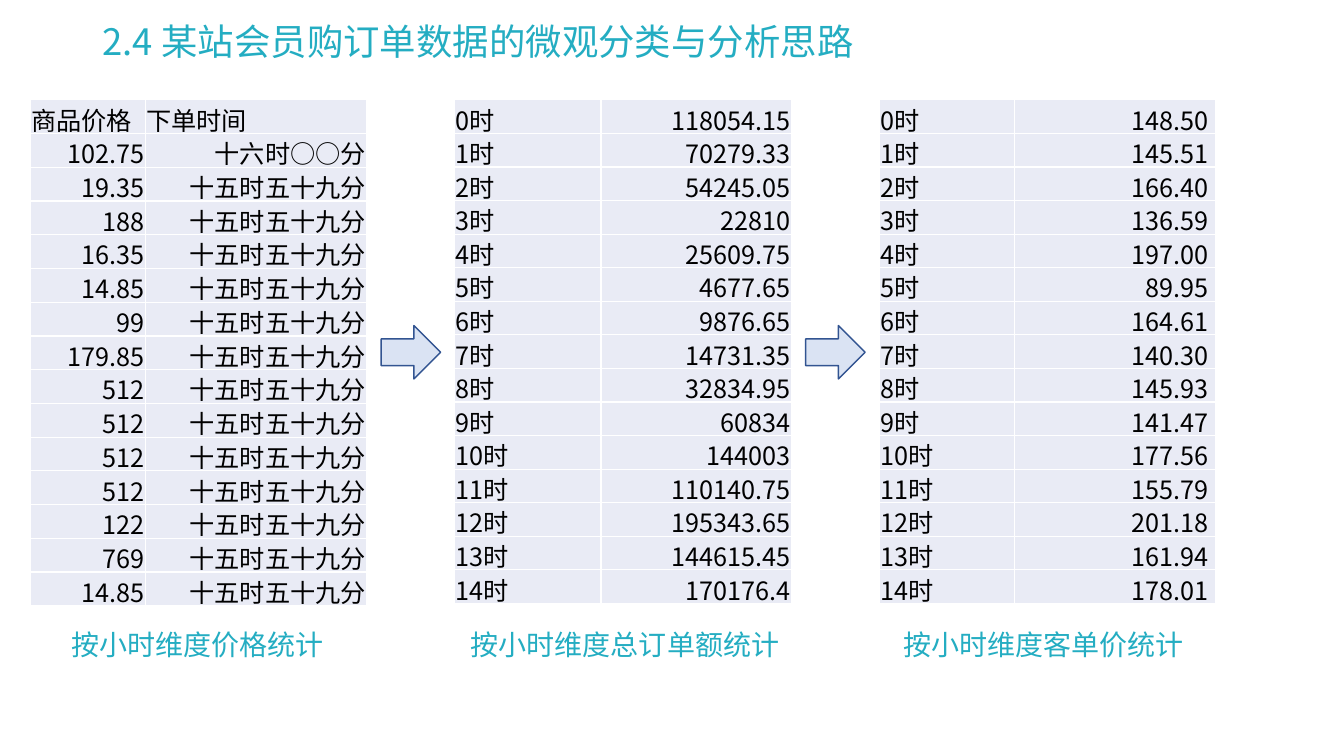
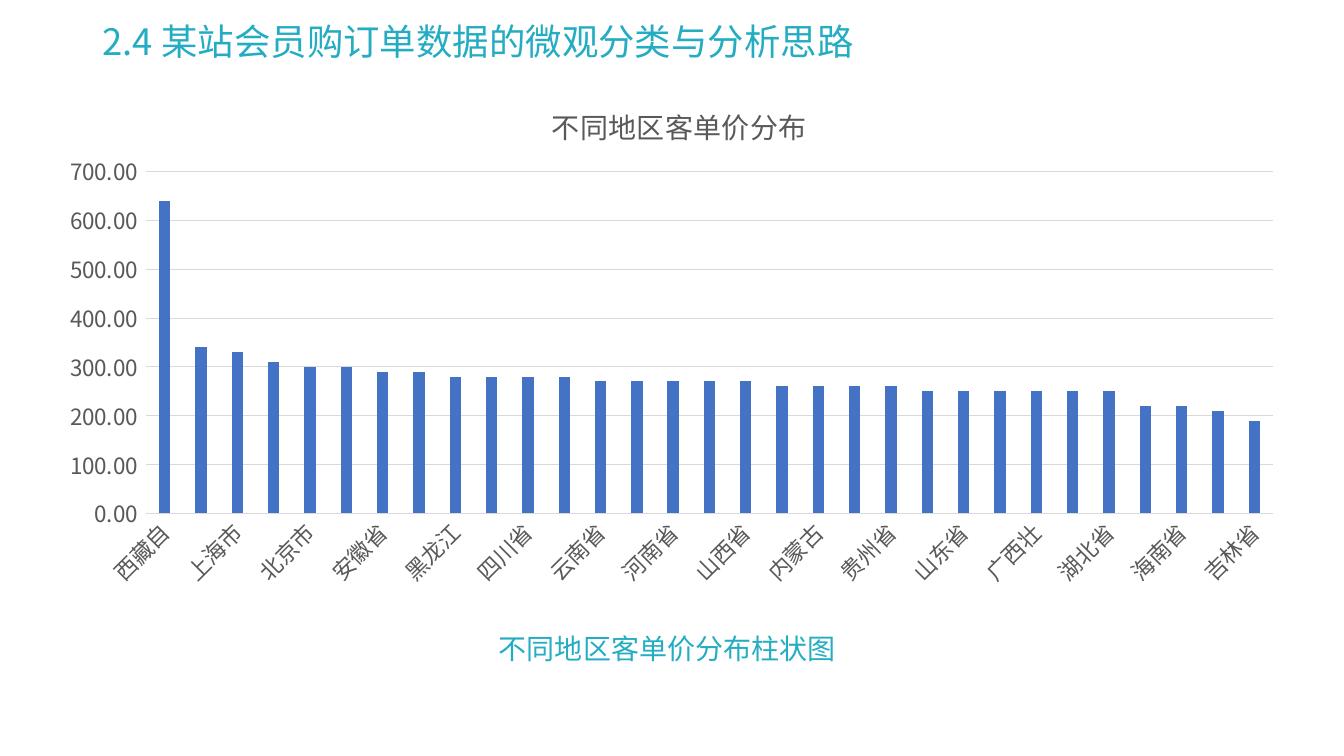
from dataclasses import dataclass

from lxml import etree
from pptx import Presentation
from pptx.chart.data import CategoryChartData
from pptx.dml.color import RGBColor
from pptx.enum.chart import XL_CHART_TYPE as ChartType, XL_TICK_MARK as Tick
from pptx.enum.shapes import MSO_SHAPE as Shape
from pptx.enum.text import MSO_ANCHOR as Anchor, PP_ALIGN as Align
from pptx.oxml.ns import qn
from pptx.util import Inches, Pt

# Shared style
COLORS = {
    "accent": "24ADC2", "ink": "000000", "white": "FFFFFF", "cell": "E9EBF5",
    "arrow": "DAE3F3", "arrow_line": "325491", "axis": "595959",
    "grid": "D9D9D9", "bar": "4472C4",
}
FONT = "Noto Sans CJK SC"
TITLE = "2.4 某站会员购订单数据的微观分类与分析思路"

# Grid of three panels, in inches
LEFT, TOP, PITCH = 0.3, 0.99, 4.21
PANEL_W, ARROW_W, ARROW_H = 3.34, 0.59, 0.53
ARROW_TOP = 3.23
CAPTION_H = 0.55


@dataclass
class Panel:
    caption: str
    caption_left: float
    caption_width: float
    first_col: float
    height: float
    rows: list[tuple[str, str]]
    header: bool = False
    right_margin: float = 0.01


def rgb(name: str) -> RGBColor:
    return RGBColor.from_string(COLORS[name])


def set_font(font, size: float, color: str) -> None:
    font.name, font.size = FONT, Pt(size)
    font.color.rgb = rgb(color)


def set_east_asian(root) -> None:
    """Give every default run style below root the East Asian typeface."""
    for d in root.iter(qn("a:defRPr")):
        latin = d.find(qn("a:latin"))
        if latin is not None:
            ea = etree.Element(qn("a:ea"), typeface=FONT)
            latin.addnext(ea)


def write(p, text: str, size: float, color: str) -> None:
    p.text = text
    set_font(p.font, size, color)
    set_east_asian(p._p)


def add_text(slide, box: tuple, text: str, size: float, spacing: float):
    tf = slide.shapes.add_textbox(*map(Inches, box)).text_frame
    tf.word_wrap = True
    p = tf.paragraphs[0]
    write(p, text, size, "accent")
    p.line_spacing = spacing
    return tf


def new_slide(prs):
    slide = prs.slides.add_slide(prs.slide_layouts[6])
    tf = add_text(slide, (0.92, 0.26, 11.5, 0.35), TITLE, 26, 0.9)
    tf.vertical_anchor = Anchor.MIDDLE
    return slide


def add_caption(slide, left: float, top: float, width: float, text: str) -> None:
    add_text(slide, (left, top, width, CAPTION_H), text, 20, 1.5)


def set_borders(cell) -> None:
    tc_pr = cell._tc.get_or_add_tcPr()
    for i, side in enumerate(("lnL", "lnR", "lnT", "lnB")):
        ln = etree.Element(qn(f"a:{side}"), w=str(Pt(1)))
        fill = etree.SubElement(ln, qn("a:solidFill"))
        etree.SubElement(fill, qn("a:srgbClr"), val=COLORS["white"])
        tc_pr.insert(i, ln)


def add_panel(slide, left: float, panel: Panel) -> None:
    n = len(panel.rows)
    tbl = slide.shapes.add_table(n, 2, Inches(left), Inches(TOP),
                                 Inches(PANEL_W), Inches(panel.height)).table
    tbl.first_row = tbl.horz_banding = False
    tbl.columns[0].width = Inches(panel.first_col)
    tbl.columns[1].width = Inches(PANEL_W - panel.first_col)
    for i, row in enumerate(panel.rows):
        tbl.rows[i].height = Inches(panel.height / n)
        for j, text in enumerate(row):
            cell = tbl.cell(i, j)
            cell.margin_left = cell.margin_top = Inches(0.01)
            cell.margin_right = Inches(panel.right_margin if j else 0.01)
            cell.margin_bottom = 0
            cell.vertical_anchor = Anchor.MIDDLE
            cell.fill.solid()
            cell.fill.fore_color.rgb = rgb("cell")
            set_borders(cell)
            p = cell.text_frame.paragraphs[0]
            write(p, text, 18, "ink")
            # Order rows are all numeric; hour rows start with a label
            numeric = i > 0 if panel.header else j == 1
            p.alignment = Align.RIGHT if numeric else Align.LEFT
    add_caption(slide, panel.caption_left, 6.01, panel.caption_width, panel.caption)


def add_arrow(slide, left: float) -> None:
    sp = slide.shapes.add_shape(Shape.RIGHT_ARROW, Inches(left), Inches(ARROW_TOP),
                                Inches(ARROW_W), Inches(ARROW_H))
    sp.shadow.inherit = False
    sp.fill.solid()
    sp.fill.fore_color.rgb = rgb("arrow")
    sp.line.color.rgb = rgb("arrow_line")
    sp.line.width = Pt(1)


def by_hour(values: str) -> list[tuple[str, str]]:
    return [(f"{hour}时", v) for hour, v in enumerate(values.split())]


# Slide 1 data
PRICES = "19.35 188 16.35 14.85 99 179.85 512 512 512 512 122 769 14.85".split()
ORDERS = [("商品价格", "下单时间"), ("102.75", "十六时○○分")]
ORDERS += [(price, "十五时五十九分") for price in PRICES]
TOTALS = by_hour("118054.15 70279.33 54245.05 22810 25609.75 4677.65 9876.65 14731.35 "
                 "32834.95 60834 144003 110140.75 195343.65 144615.45 170176.4")
AVERAGES = by_hour("148.50 145.51 166.40 136.59 197.00 89.95 164.61 140.30 "
                   "145.93 141.47 177.56 155.79 201.18 161.94 178.01")
PANELS = [
    Panel("按小时维度价格统计", 0.61, 2.72, 1.14, 5.02, ORDERS, header=True),
    Panel("按小时维度总订单额统计", 4.57, 3.34, 1.45, 5, TOTALS),
    Panel("按小时维度客单价统计", 8.86, 3.06, 1.34, 5, AVERAGES, right_margin=0.07),
]

# Slide 2 data
REGIONS = ("西藏自 浙江省 上海市 陕西省 北京市 天津市 安徽省 江苏省 黑龙江 辽宁省 四川省 "
           "广东省 云南省 重庆市 河南省 湖南省 山西省 青海省 内蒙古 福建省 贵州省 河北省 "
           "山东省 新疆维 广西壮 甘肃省 湖北省 江西省 海南省 宁夏回 吉林省").split()
UNIT_PRICES = [640, 340, 330, 310, 300, 300, 290, 290, 280, 280, 280, 280, 270, 270, 270,
               270, 270, 260, 260, 260, 260, 250, 250, 250, 250, 250, 250, 220, 220, 210, 190]


def place(element, after: str | None, **shares: float) -> None:
    """Set a manual layout, in shares of the chart's size."""
    for old in element.findall(qn("c:layout")):
        element.remove(old)
    layout = etree.Element(qn("c:layout"))
    manual = etree.SubElement(layout, qn("c:manualLayout"))
    if "w" in shares:
        etree.SubElement(manual, qn("c:layoutTarget"), val="inner")
    for key in ("xMode", "yMode"):
        etree.SubElement(manual, qn(f"c:{key}"), val="edge")
    for key, share in shares.items():
        etree.SubElement(manual, qn(f"c:{key}"), val=str(share))
    if after:
        element.find(qn(after)).addnext(layout)
    else:
        element.insert(0, layout)


def add_region_chart(slide) -> None:
    data = CategoryChartData(number_format="0.00")
    data.categories = REGIONS
    data.add_series("客单价", UNIT_PRICES)
    box = map(Inches, (0.46, 0.71, 12.41, 5.22))
    chart = slide.shapes.add_chart(ChartType.COLUMN_CLUSTERED, *box, data).chart
    chart.has_legend = False
    set_font(chart.font, 10, "ink")

    # Title
    chart.has_title = True
    write(chart.chart_title.text_frame.paragraphs[0], "不同地区客单价分布", 20, "axis")
    chart.chart_title.text_frame.paragraphs[0].font.bold = False
    place(chart.chart_title._element, "c:tx", x=0.4, y=0.05)

    # Bars
    plot = chart.plots[0]
    plot.gap_width, plot.overlap, plot.vary_by_categories = 219, -27, False
    fill = plot.series[0].format.fill
    fill.solid()
    fill.fore_color.rgb = rgb("bar")

    # Axes
    cat, val = chart.category_axis, chart.value_axis
    for axis in (cat, val):
        axis.major_tick_mark = axis.minor_tick_mark = Tick.NONE
        set_font(axis.tick_labels.font, 16, "axis")
    val.minimum_scale, val.maximum_scale, val.major_unit = 0, 700, 100
    val.tick_labels.number_format = "0.00_ "
    val.tick_labels.number_format_is_linked = False
    val.format.line.fill.background()
    val.has_major_gridlines = True
    for line in (cat.format.line, val.major_gridlines.format.line):
        line.color.rgb = rgb("grid")
        line.width = Pt(0.75)
    cat._element.find(qn("c:txPr")).find(qn("a:bodyPr")).set("rot", "-2700000")
    skip = etree.Element(qn("c:tickLblSkip"), val="2")
    cat._element.find(qn("c:noMultiLvlLbl")).addprevious(skip)

    plot_area = chart._chartSpace.find(qn("c:chart")).find(qn("c:plotArea"))
    place(plot_area, None, x=0.08, y=0.19, w=0.9, h=0.65)
    for part in chart._chartSpace.iter(qn("c:txPr")):
        set_east_asian(part)


def main() -> None:
    prs = Presentation()
    prs.slide_width, prs.slide_height = Inches(13.33), Inches(7.5)

    # Slide 1: three tables joined by arrows
    slide = new_slide(prs)
    for i, panel in enumerate(PANELS):
        left = LEFT + i * PITCH
        add_panel(slide, left, panel)
        if i:
            add_arrow(slide, left - (PITCH - PANEL_W + ARROW_W) / 2)

    # Slide 2: column chart
    slide = new_slide(prs)
    add_region_chart(slide)
    add_caption(slide, 4.85, 6.05, 3.63, "不同地区客单价分布柱状图")

    prs.save("out.pptx")


if __name__ == "__main__":
    main()
